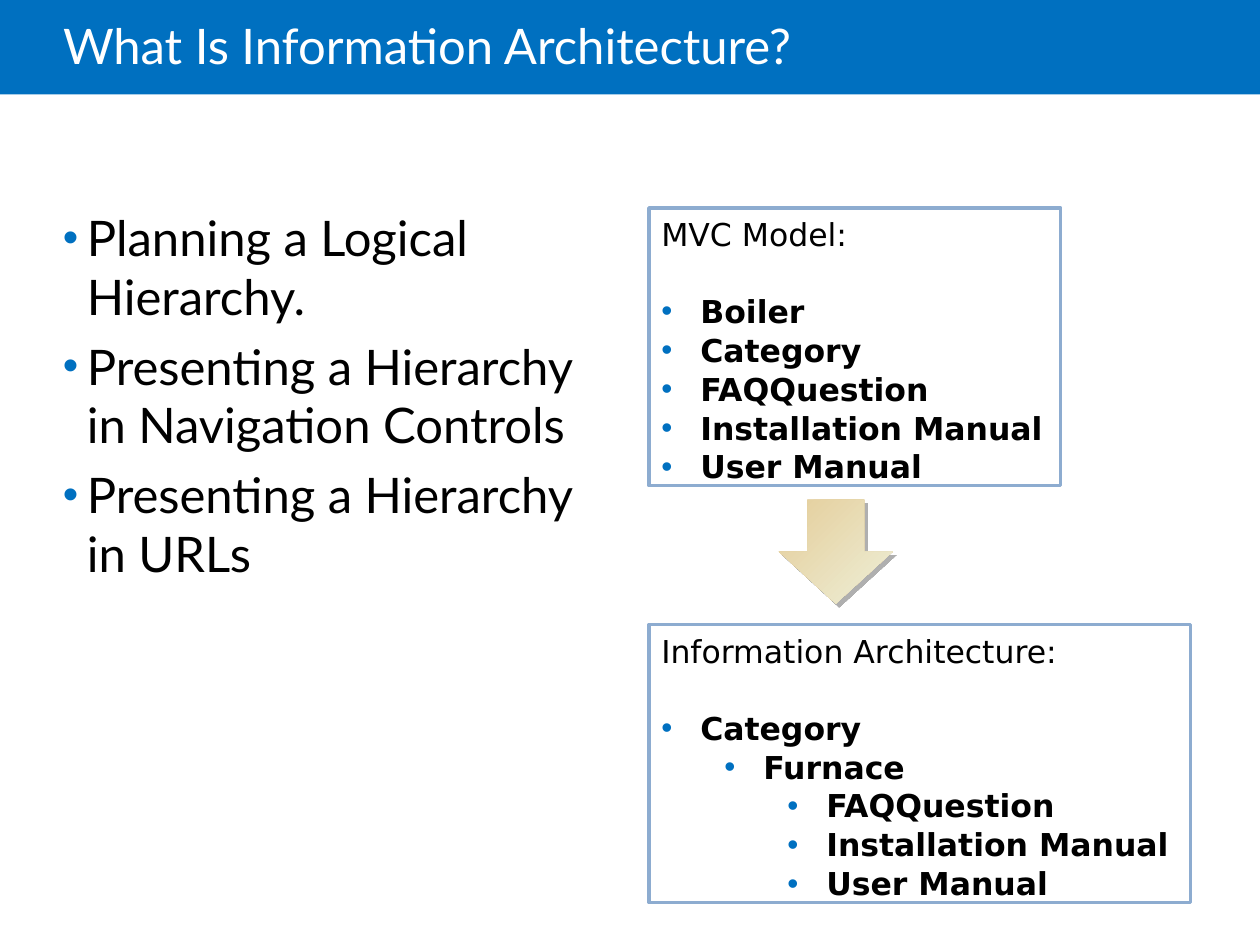
import dataclasses

import lxml.etree
import pptx
import pptx.dml.color
import pptx.enum.shapes
import pptx.enum.text
import pptx.oxml.ns
import pptx.util

Pt = pptx.util.Pt
Inches = pptx.util.Inches
SHAPE = pptx.enum.shapes.MSO_SHAPE
ANCHOR = pptx.enum.text.MSO_ANCHOR
LEFT = pptx.enum.text.PP_ALIGN.LEFT
qn = pptx.oxml.ns.qn


@dataclasses.dataclass(frozen=True)
class Theme:
    blue: str = "0070C0"
    edge: str = "8DACD0"
    white: str = "FFFFFF"
    black: str = "000000"
    sand: str = "E4CD9A"
    cream: str = "EEEFD7"
    shade: str = "AFAFAF"
    head: str = "Lato"
    text: str = "DejaVu Sans"
    big: int = 28
    small: int = 18
    lead: float = 1.03


@dataclasses.dataclass(frozen=True)
class Box:
    x: float
    y: float
    w: float
    h: float

    def inner(self, x, y, w, h):
        """Return the inner box given as shares of this one."""
        return Box(self.x + x * self.w, self.y + y * self.h, w * self.w, h * self.h)

    def area(self):
        return [Inches(v) for v in (self.x, self.y, self.w, self.h)]


THEME = Theme()
PAGE = Box(0, 0, 10, 7.5)
POINTS = [
    "Planning a Logical Hierarchy.",
    "Presenting a Hierarchy in Navigation Controls",
    "Presenting a Hierarchy in URLs",
]
MODEL = [
    (0, "Boiler"),
    (0, "Category"),
    (0, "FAQQuestion"),
    (0, "Installation Manual"),
    (0, "User Manual"),
]
TREE = [
    (0, "Category"),
    (1, "Furnace"),
    (2, "FAQQuestion"),
    (2, "Installation Manual"),
    (2, "User Manual"),
]


def rgb(code):
    return pptx.dml.color.RGBColor.from_string(code)


def style(para, face, size, color, bold=False):
    para.alignment = LEFT
    para.font.name = face
    para.font.size = Pt(size)
    para.font.color.rgb = rgb(color)
    para.font.bold = bold


def bullet(para, left, hang, size=100):
    props = para._p.get_or_add_pPr()
    props.set("marL", str(Inches(left)))
    props.set("indent", str(-Inches(hang)))
    color = lxml.etree.Element(qn("a:buClr"))
    lxml.etree.SubElement(color, qn("a:srgbClr"), val=THEME.blue)
    scale = lxml.etree.Element(qn("a:buSzPct"), val=str(size * 1000))
    face = lxml.etree.Element(qn("a:buFont"), typeface="Arial")
    mark = lxml.etree.Element(qn("a:buChar"), char="•")
    for item in (color, scale, face, mark):
        props.find(qn("a:defRPr")).addprevious(item)


def lines(frame, count):
    """Return the first paragraph and as many new ones as are needed."""
    return [frame.paragraphs[0]] + [frame.add_paragraph() for _ in range(count - 1)]


def shape(slide, kind, box):
    item = slide.shapes.add_shape(kind, *box.area())
    item.shadow.inherit = False
    item.line.fill.background()
    return item


def header(slide, box, words):
    band = shape(slide, SHAPE.RECTANGLE, box)
    band.fill.solid()
    band.fill.fore_color.rgb = rgb(THEME.blue)
    title = slide.shapes.title
    band._element.addnext(title._element)
    title.left, title.top, title.width, title.height = box.inner(0.05, 0, 0.85, 1.05).area()
    frame = title.text_frame
    frame.text = words
    frame.margin_left = 0
    frame.word_wrap = True
    frame.auto_size = pptx.enum.text.MSO_AUTO_SIZE.NONE
    frame.vertical_anchor = ANCHOR.MIDDLE
    para = frame.paragraphs[0]
    style(para, THEME.head, THEME.big, THEME.white)
    para.line_spacing = 0.85


def points(slide, box, items):
    frame = slide.shapes.add_textbox(*box.area()).text_frame
    frame.word_wrap = True
    frame.margin_left = frame.margin_right = 0
    frame.margin_top = frame.margin_bottom = 0
    for para, words in zip(lines(frame, len(items)), items):
        para.text = words
        style(para, THEME.head, THEME.big, THEME.black)
        para.space_before = Pt(6)
        bullet(para, 0.19, 0.19, 90)


def panel(slide, box, name, items):
    card = shape(slide, SHAPE.RECTANGLE, box)
    card.fill.solid()
    card.fill.fore_color.rgb = rgb(THEME.white)
    card.line.color.rgb = rgb(THEME.edge)
    card.line.width = Pt(2)
    frame = card.text_frame
    frame.word_wrap = True
    frame.vertical_anchor = ANCHOR.TOP
    first, *rest = lines(frame, len(items) + 1)
    first.text = name
    style(first, THEME.text, THEME.small, THEME.black)
    first.line_spacing = THEME.lead
    first.space_after = Pt(1.2 * THEME.small)
    for para, (level, words) in zip(rest, items):
        para.text = words
        para.level = level
        style(para, THEME.text, THEME.small, THEME.black, True)
        para.line_spacing = THEME.lead
        bullet(para, 0.31 + 0.5 * level, 0.31)


def arrow(slide, box):
    item = shape(slide, SHAPE.DOWN_ARROW, box)
    item.fill.gradient()
    item.fill.gradient_angle = 315
    for stop, color in zip(item.fill.gradient_stops, (THEME.sand, THEME.cream)):
        stop.color.rgb = rgb(color)
    effects = item._element.spPr.find(qn("a:effectLst"))
    shadow = lxml.etree.SubElement(
        effects, qn("a:outerShdw"), dist=str(Pt(2.8)), dir="2700000", algn="ctr", rotWithShape="0"
    )
    lxml.etree.SubElement(shadow, qn("a:srgbClr"), val=THEME.shade)


def flow(slide, box):
    panel(slide, box.inner(0, 0, 0.76, 0.4), "MVC Model:", MODEL)
    panel(slide, box.inner(0, 0.6, 1, 0.4), "Information Architecture:", TREE)
    arrow(slide, box.inner(0.24, 0.42, 0.21, 0.15))


def main():
    deck = pptx.Presentation()
    deck.slide_width, deck.slide_height = Inches(PAGE.w), Inches(PAGE.h)
    slide = deck.slides.add_slide(deck.slide_layouts.get_by_name("Title Only"))
    header(slide, PAGE.inner(0, 0, 1, 0.1), "What Is Information Architecture?")
    points(slide, PAGE.inner(0.05, 0.22, 0.43, 0.69), POINTS)
    flow(slide, PAGE.inner(0.515, 0.22, 0.43, 0.735))
    deck.save("out.pptx")


if __name__ == "__main__":
    main()
